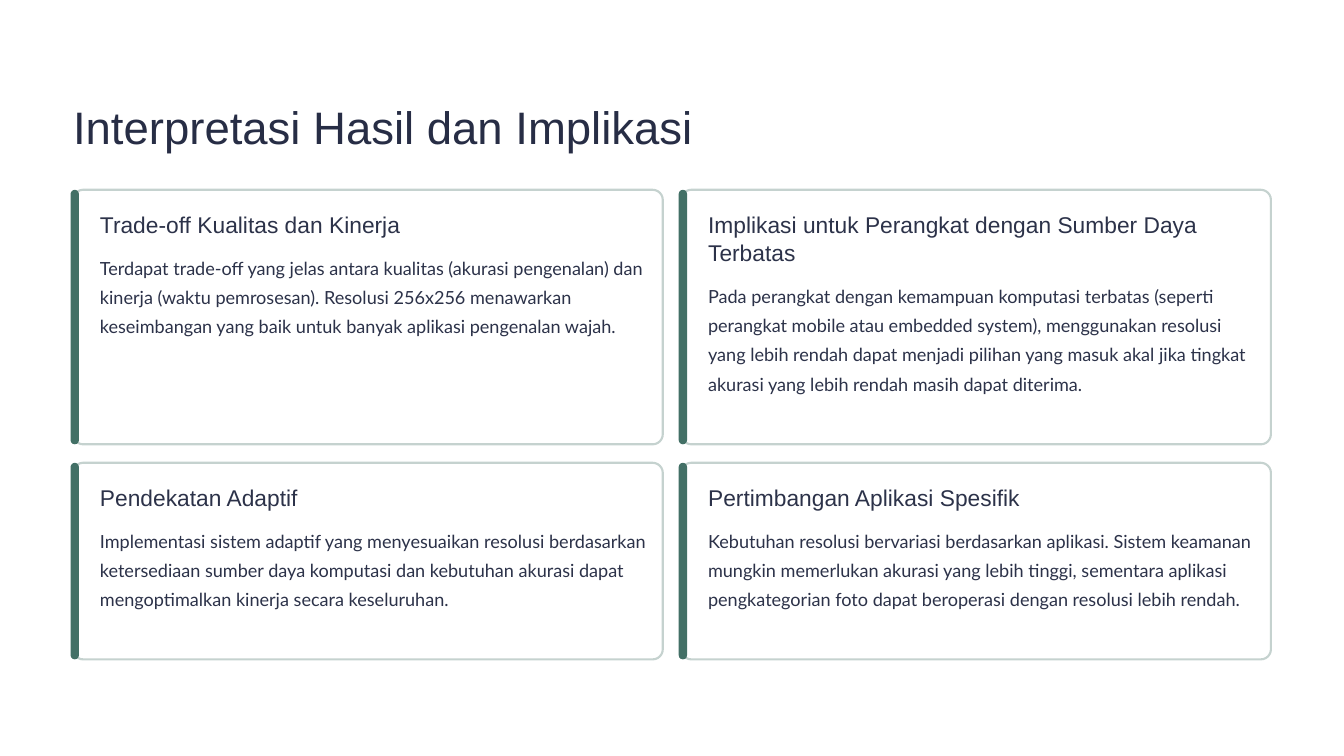
"""Build a slide with four cards on interpreting results and their implications."""
import pptx
import pptx.util
import pptx.dml.color
import pptx.enum.shapes
import pptx.enum.text

Inches = pptx.util.Inches
COLOURS = {"white": "FFFFFF", "title": "272D45", "text": "2C3249", "border": "C5D2CF", "accent": "437066"}


def write_text(box, text, font, size, spacing, colour):
    frame = box.text_frame
    frame.margin_left = frame.margin_top = frame.margin_right = frame.margin_bottom = 0
    frame.word_wrap = True
    frame.auto_size = pptx.enum.text.MSO_AUTO_SIZE.NONE
    frame.vertical_anchor = pptx.enum.text.MSO_ANCHOR.TOP
    para = frame.paragraphs[0]
    para.alignment = pptx.enum.text.PP_ALIGN.LEFT
    para.line_spacing = pptx.util.Pt(spacing)
    para.space_before = pptx.util.Pt(0)
    span = para.add_run()
    span.text = text
    span.font.name = font
    span.font.size = pptx.util.Pt(size)
    span.font.color.rgb = pptx.dml.color.RGBColor.from_string(COLOURS[colour])


def add_rounded(page, left, top, width, height, radius, fill):
    shape = page.shapes.add_shape(
        pptx.enum.shapes.MSO_SHAPE.ROUNDED_RECTANGLE,
        Inches(left), Inches(top), Inches(width), Inches(height))
    shape.adjustments[0] = radius / min(width, height)
    shape.shadow.inherit = False
    shape.fill.solid()
    shape.fill.fore_color.rgb = pptx.dml.color.RGBColor.from_string(COLOURS[fill])
    shape.line.fill.background()
    return shape


deck = pptx.Presentation()
deck.slide_width, deck.slide_height = Inches(16), Inches(9)
page = deck.slides.add_slide(deck.slide_layouts[5])
page.background.fill.solid()
page.background.fill.fore_color.rgb = pptx.dml.color.RGBColor.from_string(COLOURS["white"])

title = page.shapes.title
title.left, title.top, title.width, title.height = Inches(0.87), Inches(1.15), Inches(8), Inches(0.68)
write_text(title, "Interpretasi Hasil dan Implikasi", "Arial", 39, 48.5, "title")

LEFT, CARD_WIDTH, COLUMN_STEP = 0.87, 7.02, 7.24
TEXT_INSET, TEXT_WIDTH = 0.32, 6.5
HEADING_LINE, HEADING_GAP = 0.34, 0.13
rows = [
    (2.26, 3.03, [
        ("Trade-off Kualitas dan Kinerja", 1,
         "Terdapat trade-off yang jelas antara kualitas (akurasi pengenalan) dan kinerja (waktu pemrosesan). "
         "Resolusi 256x256 menawarkan keseimbangan yang baik untuk banyak aplikasi pengenalan wajah.", 1.39),
        ("Implikasi untuk Perangkat dengan Sumber Daya Terbatas", 2,
         "Pada perangkat dengan kemampuan komputasi terbatas (seperti perangkat mobile atau embedded system), "
         "menggunakan resolusi yang lebih rendah dapat menjadi pilihan yang masuk akal jika tingkat akurasi "
         "yang lebih rendah masih dapat diterima.", 1.74),
    ]),
    (5.51, 2.34, [
        ("Pendekatan Adaptif", 1,
         "Implementasi sistem adaptif yang menyesuaikan resolusi berdasarkan ketersediaan sumber daya komputasi "
         "dan kebutuhan akurasi dapat mengoptimalkan kinerja secara keseluruhan.", 1.39),
        ("Pertimbangan Aplikasi Spesifik", 1,
         "Kebutuhan resolusi bervariasi berdasarkan aplikasi. Sistem keamanan mungkin memerlukan akurasi yang "
         "lebih tinggi, sementara aplikasi pengkategorian foto dapat beroperasi dengan resolusi lebih rendah.", 1.39),
    ]),
]

for top, height, cards in rows:
    for column, (heading, heading_lines, body, body_height) in enumerate(cards):
        left = LEFT + column * COLUMN_STEP
        card = add_rounded(page, left, top, CARD_WIDTH, height, 0.12, "white")
        card.line.color.rgb = pptx.dml.color.RGBColor.from_string(COLOURS["border"])
        card.line.width = pptx.util.Pt(1.8)
        add_rounded(page, left - 0.03, top, 0.1, height, 0.05, "accent")

        text_left, heading_top = left + TEXT_INSET, top + 0.24
        heading_height = heading_lines * HEADING_LINE
        heading_box = page.shapes.add_textbox(
            Inches(text_left), Inches(heading_top), Inches(TEXT_WIDTH), Inches(heading_height))
        write_text(heading_box, heading, "Arial", 19.5, 24, "text")
        body_box = page.shapes.add_textbox(
            Inches(text_left), Inches(heading_top + heading_height + HEADING_GAP),
            Inches(TEXT_WIDTH), Inches(body_height))
        write_text(body_box, body, "Lato", 15.5, 25, "text")

deck.save("out.pptx")
